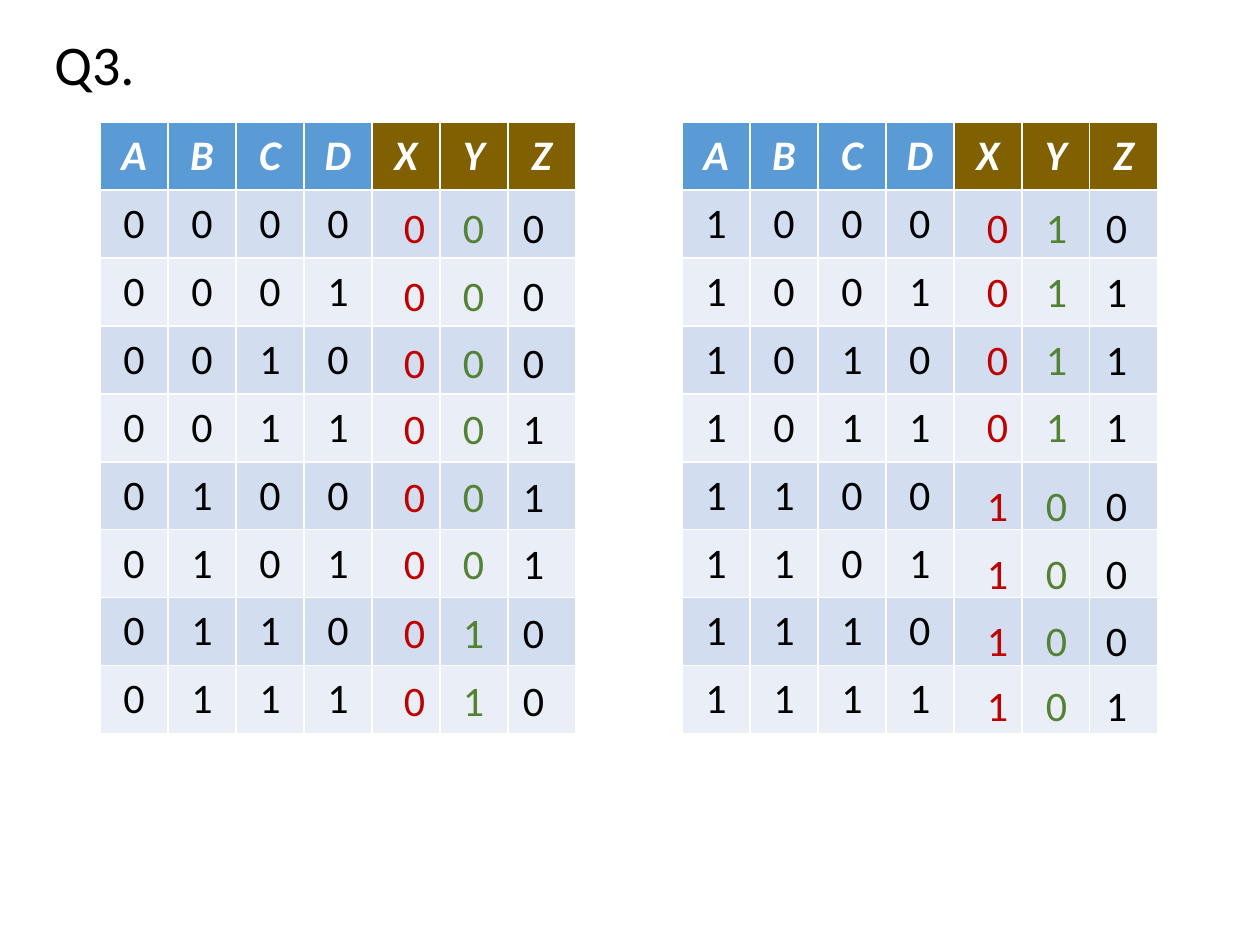
from dataclasses import dataclass

from lxml.etree import SubElement
from pptx import Presentation
from pptx.dml.color import RGBColor
from pptx.enum.text import MSO_ANCHOR as Anchor, MSO_AUTO_SIZE as AutoSize, PP_ALIGN as Align
from pptx.oxml.ns import qn
from pptx.util import Pt

PIXEL = 914400 // 126


@dataclass(frozen=True)
class Theme:
    """Colours and type sizes of the slide."""
    font: str = "Calibri"
    title_size: int = 32
    table_size: int = 24
    black: str = "000000"
    white: str = "FFFFFF"
    input_head: str = "5B9BD5"
    output_head: str = "806000"
    bands: tuple = ("D2DEEF", "EAEFF7")
    outputs: tuple = ("C00000", "548235", "000000")


theme = Theme()


def style_span(span, size, color, heading=False):
    """Set the font of one run."""
    span.font.name = theme.font
    span.font.size = Pt(size)
    span.font.color.rgb = RGBColor.from_string(color)
    span.font.bold = span.font.italic = heading


def add_box(left, top, width, height):
    """Add a wrapping text box, measured in pixels."""
    box = page.shapes.add_textbox(*(n * PIXEL for n in (left, top, width, height)))
    box.text_frame.word_wrap = True
    return box


deck = Presentation()
deck.slide_width, deck.slide_height = 1260 * PIXEL, 945 * PIXEL
page = deck.slides.add_slide(deck.slide_layouts[6])

title = add_box(42, 31, 194, 91)
title.text_frame.text = "Q3."
title_para = title.text_frame.paragraphs[0]
title_para.line_spacing = 0.9
style_span(title_para.runs[0], theme.title_size, theme.black)

# Truth tables: inputs count in binary, output cells stay empty
HEADINGS = "ABCDXYZ"
INPUTS = 4
CELL = 68
TABLE_TOP = 122
TABLE_LEFTS = (100, 682)

for half, table_left in enumerate(TABLE_LEFTS):
    frame = page.shapes.add_table(
        9, len(HEADINGS), table_left * PIXEL, TABLE_TOP * PIXEL,
        len(HEADINGS) * CELL * PIXEL, 9 * CELL * PIXEL)
    table = frame.table
    for line in [*table.columns]:
        line.width = CELL * PIXEL
    for line in [*table.rows]:
        line.height = CELL * PIXEL
    words = [HEADINGS] + [f"{half * 8 + count:04b}" for count in range(8)]
    for row, word in enumerate(words):
        for column in range(len(HEADINGS)):
            cell = table.cell(row, column)
            if row == 0:
                fill = theme.input_head if column < INPUTS else theme.output_head
            else:
                fill = theme.bands[(row - 1) % 2]
            cell.fill.solid()
            cell.fill.fore_color.rgb = RGBColor.from_string(fill)
            cell.vertical_anchor = Anchor.MIDDLE
            if column < len(word):
                cell.text_frame.text = word[column]
                para = cell.text_frame.paragraphs[0]
                para.alignment = Align.CENTER
                style_span(para.runs[0], theme.table_size,
                           theme.black if row else theme.white, heading=row == 0)

# Output values: left, top and the X, Y, Z digits of each row
OUTPUT_LEFTS = (370, 953)
OUTPUT_INSET = 34
TAB_STOPS = (59, 119)
output_groups = [
    (0, 195, ["000"] * 3),
    (0, 396, ["001"] * 3),
    (0, 600, ["010"] * 2),
    (1, 195, ["010"]),
    (1, 259, ["011"] * 3),
    (1, 473, ["100"] * 3),
    (1, 673, ["101"]),
]

for half, top, values in output_groups:
    box = add_box(OUTPUT_LEFTS[half], top, 208, CELL * len(values) - 4)
    text_frame = box.text_frame
    text_frame.auto_size = AutoSize.SHAPE_TO_FIT_TEXT
    text_frame.margin_left = OUTPUT_INSET * PIXEL
    text_frame.text = "\n".join("" for value in values)
    for para, value in zip(text_frame.paragraphs, values):
        para.space_after = Pt(10)
        tabs = SubElement(para._p.get_or_add_pPr(), qn("a:tabLst"))
        for stop in TAB_STOPS:
            SubElement(tabs, qn("a:tab"), pos=str(stop * PIXEL), algn="l")
        for index, digit in enumerate(value):
            span = para.add_run()
            span.text = "\t" + digit if index else digit
            style_span(span, theme.table_size, theme.outputs[index])

deck.save("out.pptx")
